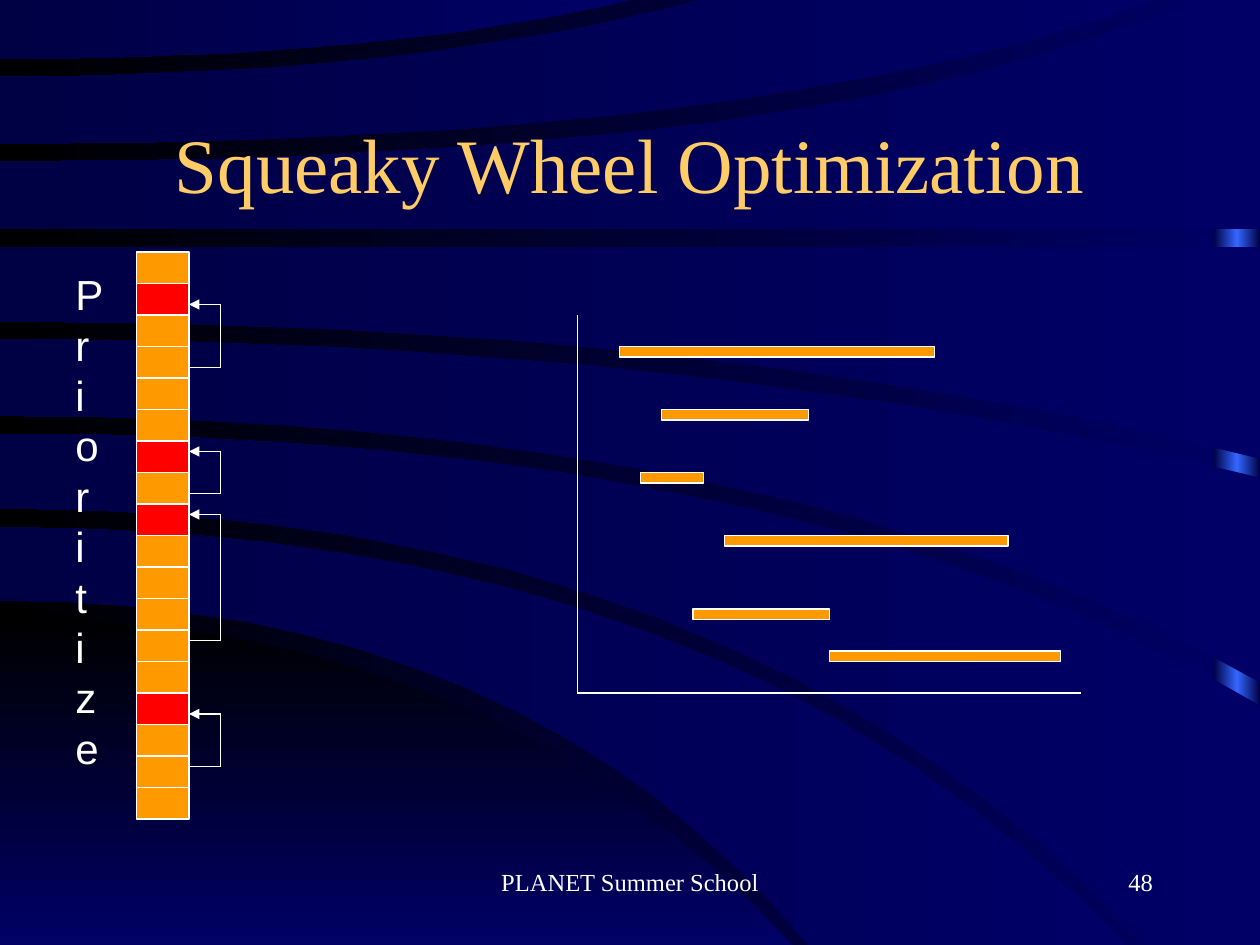
from copy import deepcopy

from lxml import etree
from pptx import Presentation
from pptx import util as u
from pptx.dml.color import RGBColor
from pptx.enum import shapes, text
from pptx.oxml import ns

PX = u.Inches(1) // 120
W, H = 1200, 900
COLORS = {
    "navy": "000066", "dusk": "000044", "black": "000000", "glow": "3366FF",
    "title": "FFCC66", "white": "FFFFFF", "task": "FF9900", "trouble": "FF0000",
}


def rgb(name):
    return RGBColor.from_string(COLORS[name])


def paint_gradient(fill, element, names, angle):
    fill.gradient()
    first = next(element.iter(ns.qn("a:gs")))
    for _ in names[2:]:
        first.addnext(deepcopy(first))
    for i, (stop, name) in enumerate(zip(fill.gradient_stops, names)):
        stop.position = i / (len(names) - 1)
        stop.color.rgb = rgb(name)
    fill.gradient_angle = angle


def add_rect(parent, x, y, w, h):
    sp = parent.add_shape(shapes.MSO_SHAPE.RECTANGLE, x * PX, y * PX, w * PX, h * PX)
    sp.shadow.inherit = False
    return sp


def add_block(parent, x, y, w, h, color):
    sp = add_rect(parent, x, y, w, h)
    sp.fill.solid()
    sp.fill.fore_color.rgb = rgb(color)
    sp.line.color.rgb = rgb("white")
    sp.line.width = u.Pt(1)


def add_line(parent, x1, y1, x2, y2, arrow=False):
    line = parent.add_connector(
        shapes.MSO_CONNECTOR.STRAIGHT, x1 * PX, y1 * PX, x2 * PX, y2 * PX)
    line.line.color.rgb = rgb("white")
    line.line.width = u.Pt(1)
    if arrow:
        etree.SubElement(line.line._get_or_add_ln(), ns.qn("a:tailEnd"), type="triangle")
    etree.SubElement(line._element.spPr, ns.qn("a:effectLst"))


def add_text(s, x, y, w, h, words, size, font, color, align,
             anchor=text.MSO_ANCHOR.TOP, autosize=text.MSO_AUTO_SIZE.NONE):
    tf = s.shapes.add_textbox(x * PX, y * PX, w * PX, h * PX).text_frame
    tf.word_wrap = True
    tf.auto_size = autosize
    tf.vertical_anchor = anchor
    p = tf.paragraphs[0]
    p.alignment = align
    r = p.add_run()
    r.text = words
    r.font.size = u.Pt(size)
    r.font.name = font
    r.font.color.rgb = rgb(color)


def curve(start_y, bend_x, end_x, end_y, steps=16):
    points = []
    for i in range(steps + 1):
        t = i / steps
        x = 2 * t * (1 - t) * bend_x + t * t * end_x
        points.append((round(x), round(start_y + t * t * (end_y - start_y))))
    return points


def level(y, w):
    return [(0, y), (w, y)]


def add_sweep(s, upper, lower, names, angle):
    points = upper + lower[::-1]
    builder = s.shapes.build_freeform(*points[0], scale=PX)
    builder.add_line_segments(points[1:], close=True)
    sp = builder.convert_to_shape()
    sp.shadow.inherit = False
    sp.line.fill.background()
    paint_gradient(sp.fill, sp._element, names, angle)


def add_backdrop(s, w, h):
    paint_gradient(s.background.fill, s._element, ["navy", "black"], 180)
    bar = add_rect(s.shapes, w - 44, 0, 44, h)
    paint_gradient(bar.fill, bar._element, ["dusk", "glow", "dusk"], 180)
    bar.line.fill.background()
    add_sweep(s, curve(589, 471, 754, h), [(0, h)], ["black", "navy"], 270)
    bands = [
        (curve(502, 695, 1072, h), curve(572, 498, 770, h)),
        (curve(413, 768, w, 672) + [(w, h)], curve(484, 706, 1091, h)),
        (curve(323, 670, w, 455), curve(396, 754, w, 650)),
        (level(235, w), curve(306, 680, w, 437)),
        (curve(154, 802, 1132, 0) + [(w, 0)], level(218, w)),
        (curve(73, 396, 667, 0), curve(137, 732, 1100, 0)),
        ([(0, 0)], curve(56, 365, 601, 0)),
    ]
    for upper, lower in bands:
        add_sweep(s, upper, lower, ["navy", "dusk"], 180)


def add_priority_queue(s, x, y, w, h):
    add_text(s, x, y + 10, 29, 492, "Prioritize", 24, "Arial", "white",
             text.PP_ALIGN.CENTER, autosize=text.MSO_AUTO_SIZE.SHAPE_TO_FIT_TEXT)
    count, troubled = 18, {1, 6, 8, 14}
    left, cell_w, cell_h = x + 70, 50, h // count
    cells = s.shapes.add_group_shape().shapes
    for i in range(count):
        color = "trouble" if i in troubled else "task"
        add_block(cells, left, y + i * cell_h, cell_w, cell_h, color)
    moves = s.shapes.add_group_shape().shapes
    edge, right = left + cell_w, x + w
    for start, end in [(110, 50), (230, 190), (370, 250), (490, 440)]:
        add_line(moves, edge, y + start, right, y + start)
        add_line(moves, right, y + start, right, y + end)
        add_line(moves, right, y + end, edge, y + end, arrow=True)


def add_schedule(s, x, y, w, h):
    group = s.shapes.add_group_shape().shapes
    add_line(group, x, y, x, y + h)
    add_line(group, x, y + h, x + w, y + h)
    for dx, dy, length in [(40, 30, 300), (80, 90, 140), (60, 150, 60),
                           (140, 210, 270), (110, 280, 130), (240, 320, 220)]:
        add_block(group, x + dx, y + dy, length, 10, "task")


def add_footer(s, x, y, w, h):
    serif = "Times New Roman"
    add_text(s, x, y, 380, h, "PLANET Summer School", 14, serif, "white",
             text.PP_ALIGN.CENTER)
    add_text(s, x + w - 250, y, 250, h, "48", 14, serif, "white", text.PP_ALIGN.RIGHT)


def main():
    prs = Presentation()
    prs.slide_width, prs.slide_height = W * PX, H * PX
    s = prs.slides.add_slide(prs.slide_layouts[6])
    add_backdrop(s, W, H)
    add_text(s, 90, 80, 1020, 150, "Squeaky Wheel Optimization", 44,
             "Times New Roman", "title", text.PP_ALIGN.CENTER, text.MSO_ANCHOR.MIDDLE)
    add_priority_queue(s, 60, 240, 150, 540)
    add_schedule(s, 550, 300, 480, 360)
    add_footer(s, 410, 820, 700, 60)
    prs.save("out.pptx")


if __name__ == "__main__":
    main()
